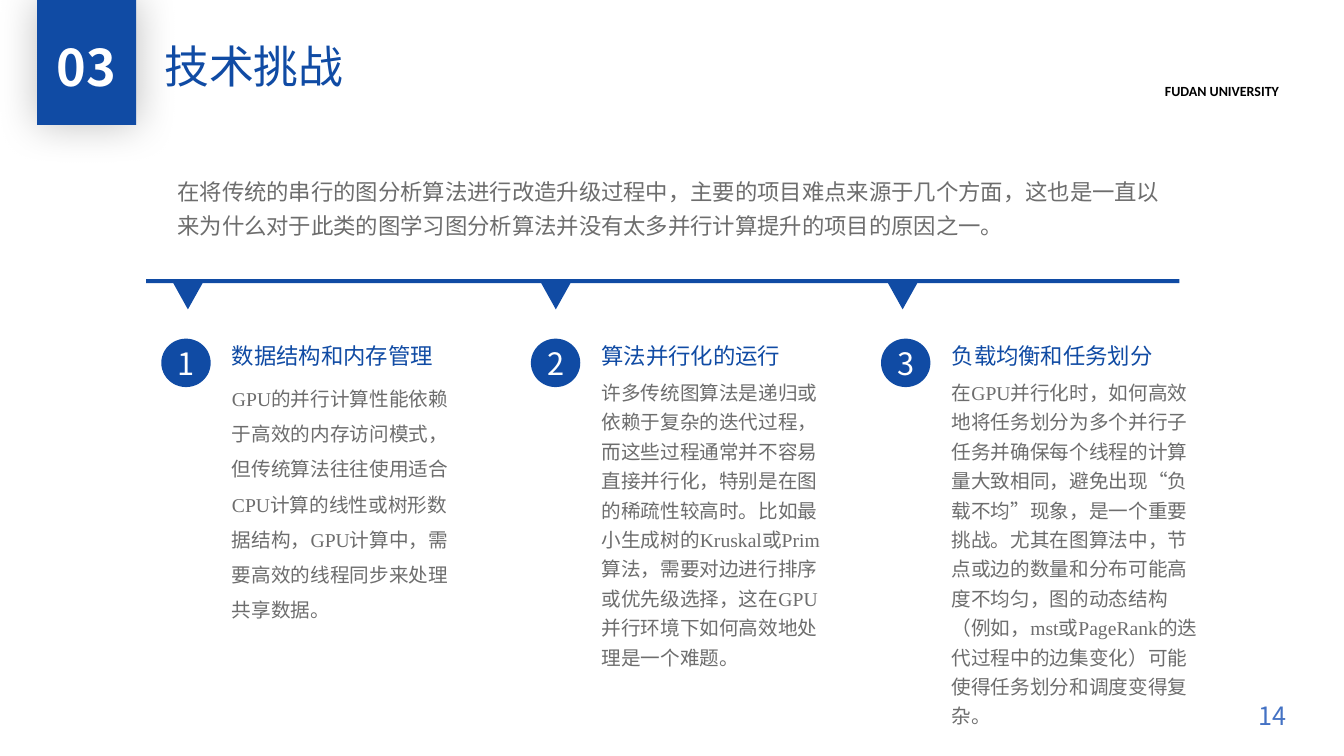
from itertools import groupby

from lxml import etree
from pptx import Presentation
from pptx.dml.color import RGBColor
from pptx.enum.shapes import MSO_SHAPE as Shape
from pptx.enum.text import MSO_ANCHOR as Anchor, PP_ALIGN as Align
from pptx.oxml.ns import qn
from pptx.util import Pt

BLUE = RGBColor(0x10, 0x4B, 0xA4)
PAGE_BLUE = RGBColor(0x44, 0x72, 0xC4)
GREY = RGBColor(0x6D, 0x6D, 0x6D)
WHITE = RGBColor(0xFF, 0xFF, 0xFF)
BLACK = RGBColor(0, 0, 0)
SANS, SANS_TC = "Noto Sans CJK SC", "Noto Sans CJK TC"
SERIF, CALIBRI = "Times New Roman", "Calibri"

prs = Presentation()
prs.slide_width, prs.slide_height = Pt(960), Pt(540)
slide = prs.slides.add_slide(prs.slide_layouts[6])


def add_block(kind, left, top, width, height):
    block = slide.shapes.add_shape(kind, Pt(left), Pt(top), Pt(width), Pt(height))
    block.shadow.inherit = False
    block.fill.solid()
    block.fill.fore_color.rgb = BLUE
    block.line.fill.background()
    return block


def write(words, size, color, box, shape=None, face=SANS, inset=0, spacing=None,
          align=Align.LEFT, anchor=Anchor.TOP, bold=False):
    """Put words in shape, or in a new text box; a serif face applies to Latin words only."""
    shape = shape or slide.shapes.add_textbox(*(Pt(v) for v in box))
    frame = shape.text_frame
    frame.word_wrap = True
    frame.vertical_anchor = anchor
    frame.margin_left = frame.margin_right = Pt(inset)
    frame.margin_top = frame.margin_bottom = Pt(inset / 2)
    paragraph = frame.paragraphs[0]
    paragraph.alignment = align
    paragraph.line_spacing = spacing
    paragraph.font.size = Pt(size)
    paragraph.font.color.rgb = color
    paragraph.font.bold = bold
    for latin, letters in groupby(words, str.isascii):
        run = paragraph.add_run()
        run.text = "".join(letters)
        run.font.name = SANS if face == SERIF and not latin else face
        east_asian = SANS if face in (SERIF, CALIBRI) else face
        etree.SubElement(run.font._element, qn("a:ea"), typeface=east_asian)


# Header
badge = add_block(Shape.RECTANGLE, 26.6, 0, 70.6, 89.3)
effects = badge._element.spPr.find(qn("a:effectLst"))
glow = etree.SubElement(effects, qn("a:outerShdw"), blurRad=str(Pt(30)), dist="0",
                        algn="ctr", rotWithShape="0")
glow_color = etree.SubElement(glow, qn("a:srgbClr"), val="000000")
etree.SubElement(glow_color, qn("a:alpha"), val="26000")
write("03", 36, WHITE, (23, 22.3, 77, 51), inset=7.2, align=Align.CENTER, bold=True)
write("技术挑战", 32, BLUE, (110.2, 23.8, 286, 46), inset=7.2)
write("FUDAN UNIVERSITY", 10, BLACK, (825, 55.4, 101, 19.4), face=CALIBRI, inset=7.2,
      align=Align.JUSTIFY, bold=True)

write("在将传统的串行的图分析算法进行改造升级过程中，主要的项目难点来源于几个方面，"
      "这也是一直以来为什么对于此类的图学习图分析算法并没有太多并行计算提升的项目的原因之一。",
      16, GREY, (126.7, 122.4, 706.3, 57), spacing=1.25)

# Three challenges under one bar: circle left, marker left, body width, spacing, heading, body
add_block(Shape.RECTANGLE, 104.4, 199.4, 738, 2.9)
challenges = [
    (115.2, 123.8, 165, 1.5, "数据结构和内存管理",
     "GPU的并行计算性能依赖于高效的内存访问模式，但传统算法往往使用适合CPU计算的"
     "线性或树形数据结构，GPU计算中，需要高效的线程同步来处理共享数据。"),
    (379.2, 386.6, 163, 1.25, "算法并行化的运行",
     "许多传统图算法是递归或依赖于复杂的迭代过程，而这些过程通常并不容易直接并行化，"
     "特别是在图的稀疏性较高时。比如最小生成树的Kruskal或Prim算法，"
     "需要对边进行排序或优先级选择，这在GPU并行环境下如何高效地处理是一个难题。"),
    (629.3, 634.3, 181, 1.25, "负载均衡和任务划分",
     "在GPU并行化时，如何高效地将任务划分为多个并行子任务并确保每个线程的计算量大致相同，"
     "避免出现“负载不均”现象，是一个重要挑战。尤其在图算法中，节点或边的数量和分布可能"
     "高度不均匀，图的动态结构（例如，mst或PageRank的迭代过程中的边集变化）"
     "可能使得任务划分和调度变得复杂。"),
]
for number, (left, marker_left, width, spacing, heading, body) in enumerate(challenges, 1):
    add_block(Shape.FLOWCHART_MERGE, marker_left, 202.3, 20.9, 18.7)
    circle = add_block(Shape.OVAL, left, 241.9, 35.3, 34.6)
    write(str(number), 22, WHITE, None, shape=circle, face=SANS_TC,
          align=Align.CENTER, anchor=Anchor.MIDDLE)
    text_left = left + 50.5
    write(heading, 16, BLUE, (text_left, 243.4, width, 23), face=SANS_TC,
          spacing=0.9, anchor=Anchor.MIDDLE)
    write(body, 14, GREY, (text_left, 267.8, width, 71.3), face=SERIF, spacing=spacing)

write("14", 18, PAGE_BLUE, (710, 496.8, 216, 28.8), inset=7.2,
      align=Align.RIGHT, anchor=Anchor.MIDDLE)

prs.save("out.pptx")
